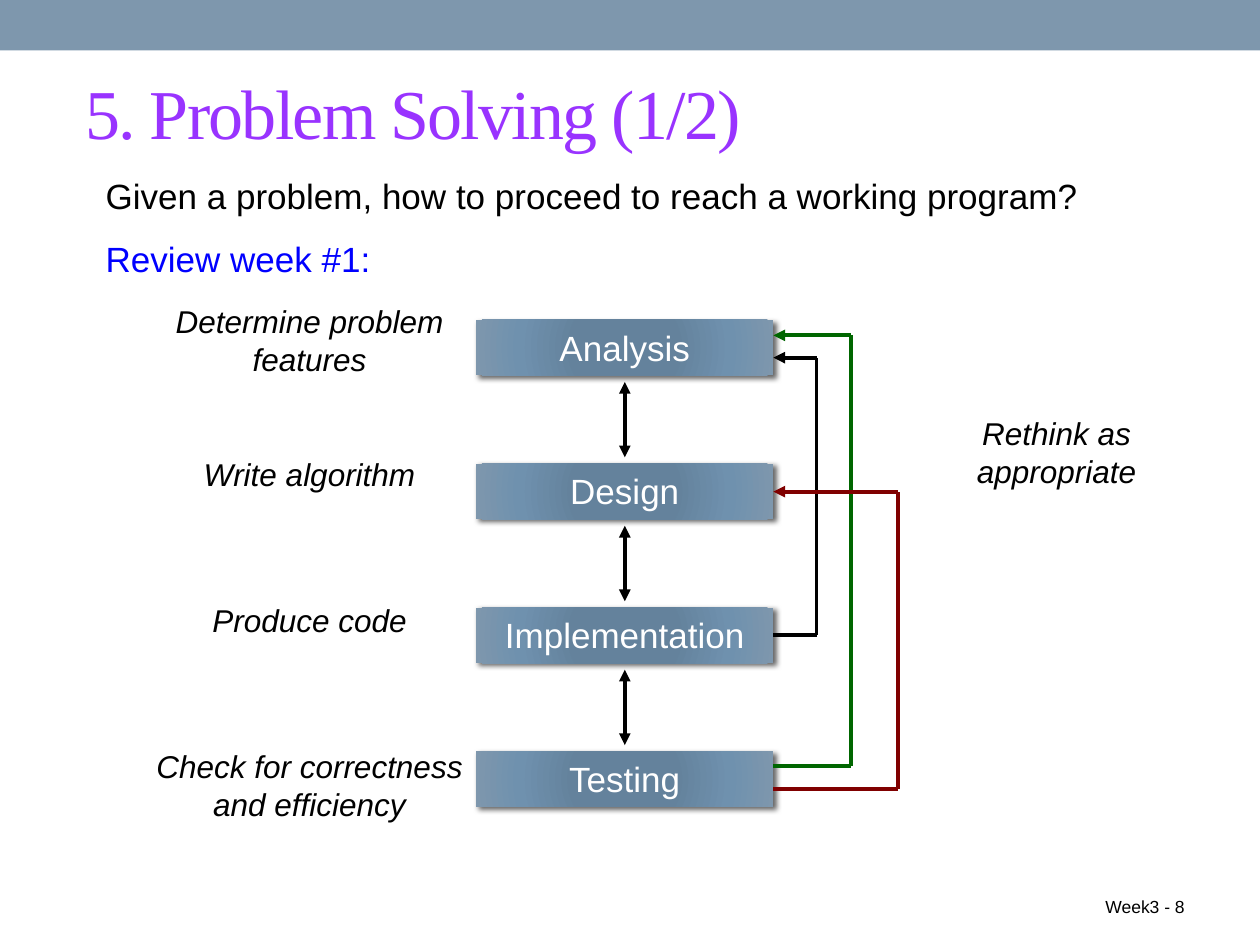
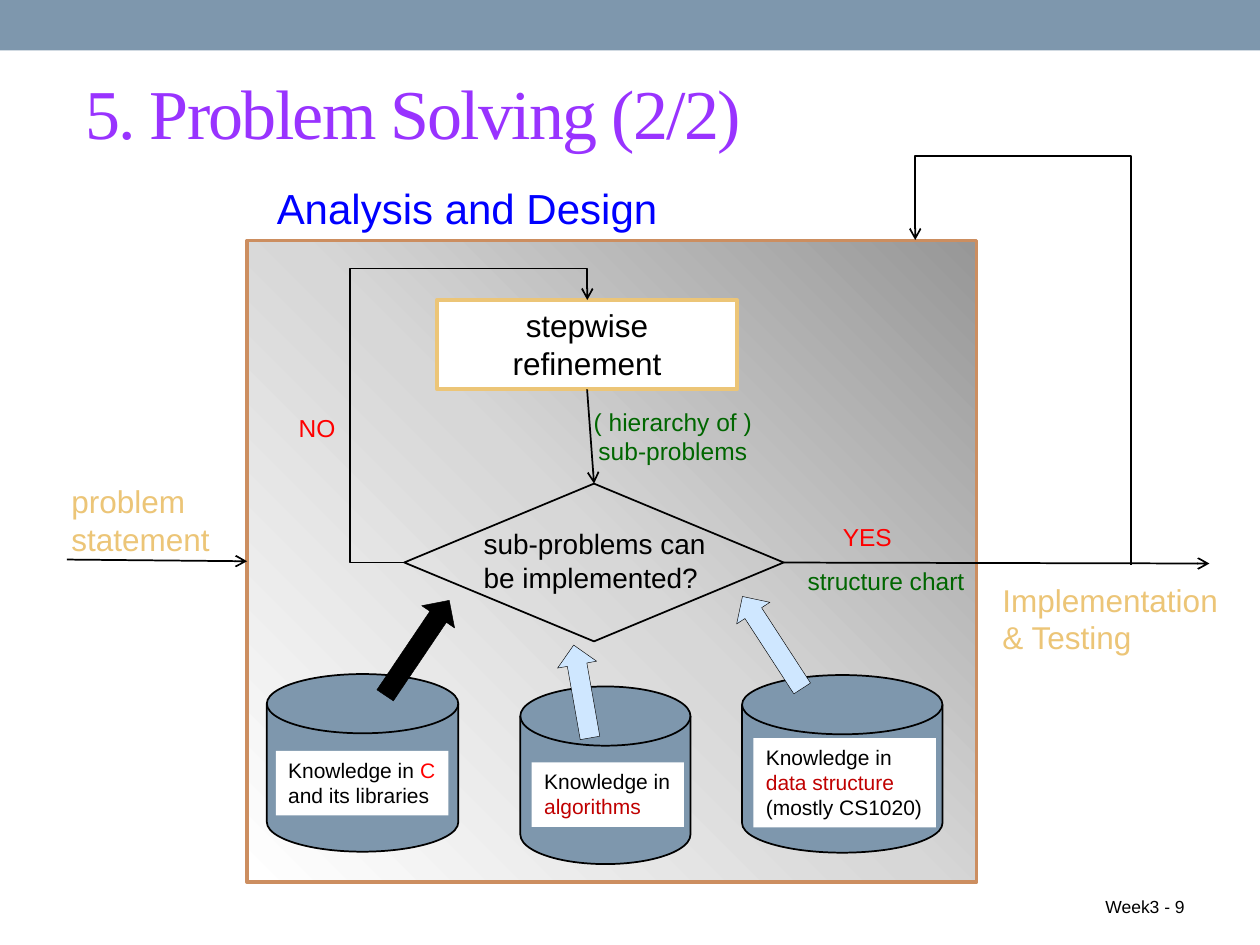
import pptx
import pptx.dml.color
import pptx.enum.shapes
import pptx.enum.text
import pptx.oxml
import pptx.oxml.ns
import pptx.util
from itertools import pairwise

Cm = pptx.util.Cm
Pt = pptx.util.Pt
RGBColor = pptx.dml.color.RGBColor
qn = pptx.oxml.ns.qn
Preset = pptx.enum.shapes.MSO_SHAPE
Link = pptx.enum.shapes.MSO_CONNECTOR
Align = pptx.enum.text.PP_ALIGN
Anchor = pptx.enum.text.MSO_ANCHOR

BLACK = RGBColor(0x00, 0x00, 0x00)
WHITE = RGBColor(0xFF, 0xFF, 0xFF)
SLATE = RGBColor(0x7E, 0x97, 0xAD)
PURPLE = RGBColor(0x99, 0x33, 0xFF)
BLUE = RGBColor(0x00, 0x00, 0xFF)
GREEN = RGBColor(0x00, 0x66, 0x00)
MAROON = RGBColor(0x80, 0x00, 0x00)
RED = RGBColor(0xFF, 0x00, 0x00)
CRIMSON = RGBColor(0xC0, 0x00, 0x00)
GOLD = RGBColor(0xEC, 0xC5, 0x77)
COPPER = RGBColor(0xCC, 0x8E, 0x60)
PALE_BLUE = RGBColor(0xCF, 0xE7, 0xFF)

STEP_STOPS = ((0, "62829E"), (34, "64829C"), (70, "6F91AE"), (100, "7E97AD"))
FRAME_STOPS = ((0, "979797"), (50, "D7D7D7"), (100, "FFFFFF"))


def element(xml):
    namespace = pptx.oxml.ns.nsdecls("a")
    return pptx.oxml.parse_xml(xml.replace(">", f" {namespace}>", 1))


class Deck:
    def __init__(self):
        self.presentation = pptx.Presentation()
        self.presentation.slide_width = Cm(25.4)
        self.presentation.slide_height = Cm(19.05)
        self.slide = None

    def start_slide(self, title, footer):
        layout = self.presentation.slide_layouts[6]
        self.slide = self.presentation.slides.add_slide(layout)
        self.shape(Preset.RECTANGLE, 0, 0, 25.4, 1.02, SLATE)
        heading = self.text([title], 1.47, 1.07, 23.29, 2.34, 40, PURPLE,
                            font="Times New Roman", anchor=Anchor.MIDDLE)
        for properties in heading.element.iter(qn("a:rPr")):
            properties.set("spc", "-100")
        self.text([footer], 18.21, 17.35, 5.92, 1.27, 10,
                  align=Align.RIGHT, anchor=Anchor.BOTTOM)

    def fill_text(self, shape, lines, size, color=BLACK, align=Align.LEFT, wrap=True,
                  font="Arial", anchor=Anchor.TOP, italic=False, space=0):
        frame = shape.text_frame
        frame.word_wrap = wrap
        frame.vertical_anchor = anchor
        for index, line in enumerate(lines):
            paragraph = frame.add_paragraph() if index else frame.paragraphs[0]
            paragraph.alignment = align
            if index:
                paragraph.space_before = Pt(space)
            parts = [(line, color)] if isinstance(line, str) else line
            for words, part_color in parts:
                run = paragraph.add_run()
                run.text = words
                run.font.name = font
                run.font.size = Pt(size)
                run.font.italic = italic
                run.font.color.rgb = part_color

    def text(self, lines, left, top, width, height, size, color=BLACK, **style):
        box = self.slide.shapes.add_textbox(Cm(left), Cm(top), Cm(width), Cm(height))
        self.fill_text(box, lines, size, color, **style)
        return box

    def shape(self, preset, left, top, width, height, fill=None, line=None,
              weight=1, rotation=0):
        shape = self.slide.shapes.add_shape(
            preset, Cm(left), Cm(top), Cm(width), Cm(height))
        shape.shadow.inherit = False
        shape.rotation = rotation
        if fill is None:
            shape.fill.background()
        else:
            shape.fill.solid()
            shape.fill.fore_color.rgb = fill
        if line is None:
            shape.line.fill.background()
        else:
            shape.line.color.rgb = line
            shape.line.width = Pt(weight)
        return shape

    def gradient(self, shape, stops, left, top, right, bottom):
        shape.fill.background()
        properties = shape.element.spPr
        marks = "".join(f'<a:gs pos="{position * 1000}"><a:srgbClr val="{color}"/></a:gs>'
                        for position, color in stops)
        fill = element(
            f'<a:gradFill rotWithShape="1"><a:gsLst>{marks}</a:gsLst><a:path path="circle">'
            f'<a:fillToRect l="{left * 1000}" t="{top * 1000}" r="{right * 1000}" '
            f'b="{bottom * 1000}"/></a:path></a:gradFill>')
        properties.replace(properties.find(qn("a:noFill")), fill)

    def drop_shadow(self, shape):
        shape.element.spPr.find(qn("a:effectLst")).append(element(
            f'<a:outerShdw blurRad="{Pt(3)}" dist="{Pt(2)}" dir="2700000">'
            '<a:srgbClr val="000000"><a:alpha val="60000"/></a:srgbClr></a:outerShdw>'))

    def line(self, start, end, color=BLACK, weight=1, head=None, tail=None,
             begin=None, finish=None, kind=Link.STRAIGHT):
        connector = self.slide.shapes.add_connector(
            kind, *(Cm(value) for value in (*start, *end)))
        connector.line.color.rgb = color
        connector.line.width = Pt(weight)
        if begin:
            connector.begin_connect(*begin)
        if finish:
            connector.end_connect(*finish)
        properties = connector.element.spPr
        outline = properties.find(qn("a:ln"))
        for tag, arrow in (("headEnd", head), ("tailEnd", tail)):
            if arrow:
                outline.append(element(f'<a:{tag} type="{arrow}"></a:{tag}>'))
        properties.append(element("<a:effectLst></a:effectLst>"))
        return connector

    def elbow(self, start, end, preset, adjustments, turn=0):
        connector = self.line(start, end, tail="arrow", kind=Link.ELBOW)
        properties = connector.element.spPr
        properties.find(qn("a:xfrm")).set("rot", str(turn * 60000))
        guides = "".join(f'<a:gd name="adj{number}" fmla="val {value}"/>'
                         for number, value in enumerate(adjustments, 1))
        properties.replace(
            properties.find(qn("a:prstGeom")),
            element(f'<a:prstGeom prst="{preset}"><a:avLst>{guides}</a:avLst></a:prstGeom>'))

    def feedback(self, side, outer, start, end, color, begin=None, finish=None):
        corners = [(side, start), (outer, start), (outer, end), (side, end)]
        segments = list(pairwise(corners))
        for index, (first, second) in enumerate(segments):
            last = index == len(segments) - 1
            self.line(first, second, color, 2.25, tail="triangle" if last else None,
                      begin=None if index else begin, finish=finish if last else None)


def build_process(deck):
    deck.start_slide("5. Problem Solving (1/2)", "Week3 - 8")
    deck.text(["Given a problem, how to proceed to reach a working program?",
               [("Review week #1:", BLUE)]], 1.88, 3.4, 22.07, 2.69, 20, space=12)
    left, top, width, height, step = 9.6, 6.45, 5.99, 1.12, 2.9
    boxes = []
    for index, name in enumerate(("Analysis", "Design", "Implementation", "Testing")):
        box = deck.shape(Preset.RECTANGLE, left, top + index * step, width, height)
        deck.gradient(box, STEP_STOPS, 100, 100, 100, 100)
        deck.drop_shadow(box)
        deck.fill_text(box, [name], 20, WHITE, Align.CENTER)
        boxes.append(box)
    middle, gap = left + width / 2, 0.13
    for index in range(len(boxes) - 1):
        box_top = top + index * step
        deck.line((middle, box_top + height + gap), (middle, box_top + step - gap),
                  weight=2.25, head="triangle", tail="triangle")
    side = left + width
    design_middle = top + step + height / 2
    deck.feedback(side, 16.46, design_middle + step, 7.21, BLACK, begin=(boxes[2], 3))
    deck.feedback(side, 17.15, 15.44, 6.76, GREEN)
    deck.feedback(side, 18.1, 15.9, design_middle, MAROON, finish=(boxes[1], 3))
    captions = (
        ("Determine problem features", 2.72, 5.97, 7.04),
        ("Write algorithm", 2.72, 9.04, 7.04),
        ("Produce code", 2.72, 11.99, 7.04),
        ("Check for correctness and efficiency", 2.72, 14.94, 7.04),
        ("Rethink as appropriate", 19, 8.23, 4.6),
    )
    for caption, caption_left, caption_top, caption_width in captions:
        deck.text([caption], caption_left, caption_top, caption_width, 1.8, 18,
                  align=Align.CENTER, italic=True)


def build_refinement(deck):
    deck.start_slide("5. Problem Solving (2/2)", "Week3 - 9")
    frame = deck.shape(Preset.RECTANGLE, 4.98, 4.85, 14.71, 12.93, line=COPPER, weight=2.08)
    deck.gradient(frame, FRAME_STOPS, 100, 0, 0, 100)
    deck.line((1.35, 11.28), (4.98, 11.32), tail="arrow", finish=(frame, 1))
    refinement = deck.shape(Preset.RECTANGLE, 8.81, 6.05, 6.05, 1.8, WHITE, GOLD, 2.08)
    deck.fill_text(refinement, ["stepwise", "refinement"], 18, align=Align.CENTER)
    decision = deck.shape(Preset.DIAMOND, 8.15, 9.75, 7.65, 3.18, line=BLACK)
    deck.line((11.84, 7.85), (11.98, 9.75), tail="arrow",
              begin=(refinement, 2), finish=(decision, 0))
    deck.elbow((8.15, 11.34), (11.84, 6.05), "bentConnector4", (-29800, 112000))
    deck.text(["( hierarchy of )", "sub-problems"], 11.71, 8.08, 3.71, 1.45, 14, GREEN,
              align=Align.CENTER, wrap=False)

    stores = (
        (5.38, 13.59, 3.86, 5.56, 15.14, 3.48, 1.3,
         [[("Knowledge in ", BLACK), ("C", RED)], "and its libraries"]),
        (10.49, 13.84, 3.43, 10.72, 15.37, 3.07, 1.3,
         ["Knowledge in", [("algorithms", CRIMSON)]]),
        (14.96, 13.61, 4.04, 15.19, 14.88, 3.68, 1.8,
         ["Knowledge in", [("data structure", CRIMSON)], "(mostly CS1020)"]),
    )
    for left, top, width, *label_place, lines in stores:
        deck.shape(Preset.FLOWCHART_MAGNETIC_DISK, left, top, width, 3.58, SLATE, BLACK)
        label = deck.shape(Preset.RECTANGLE, *label_place, WHITE)
        deck.fill_text(label, lines, 12, wrap=False)

    thickness = 0.8
    arrows = ((8.41, 13.06, 2.31, -56, BLACK), (15.57, 12.95, 2.21, -123, PALE_BLUE),
              (11.73, 13.94, 1.9, -100, PALE_BLUE))
    for center_x, center_y, length, angle, color in arrows:
        deck.shape(Preset.RIGHT_ARROW, center_x - length / 2, center_y - thickness / 2,
                   length, thickness, color, BLACK, 0.25, angle)

    labels = (
        (["problem", "statement"], 1.19, 9.6, 3.33, 1.8, 18, GOLD),
        (["sub-problems can", "be implemented?"], 9.5, 10.49, 5.05, 1.63, 16, BLACK),
        (["NO"], 5.77, 8.2, 1.27, 0.86, 14, RED),
        (["YES"], 16.74, 10.39, 1.52, 0.86, 14, RED),
        (["Implementation", "& Testing"], 19.96, 11.58, 4.9, 1.8, 18, GOLD),
        (["structure chart"], 16.03, 11.28, 3.94, 0.86, 14, GREEN),
    )
    for label in labels:
        deck.text(*label, wrap=False)
    deck.elbow((17.35, 10.29), (23.9, 5.94), "bentConnector3", (125800,), 270)
    deck.line((15.8, 11.34), (24.38, 11.36), tail="arrow", begin=(decision, 3))
    deck.text(["Analysis and Design"], 5.33, 3.56, 9.25, 1.27, 24, BLUE)


def main():
    deck = Deck()
    build_process(deck)
    build_refinement(deck)
    deck.presentation.save("out.pptx")


if __name__ == "__main__":
    main()
